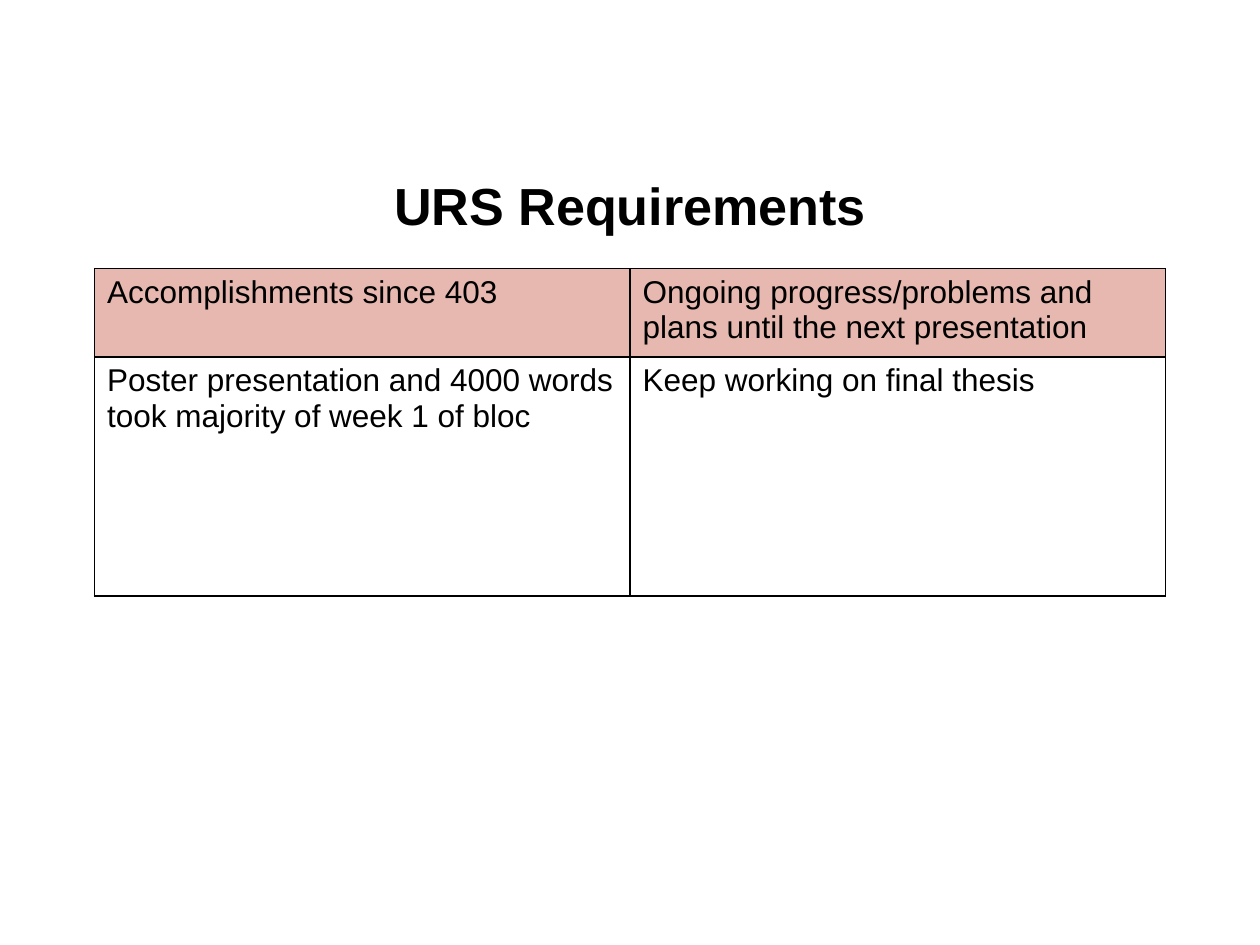
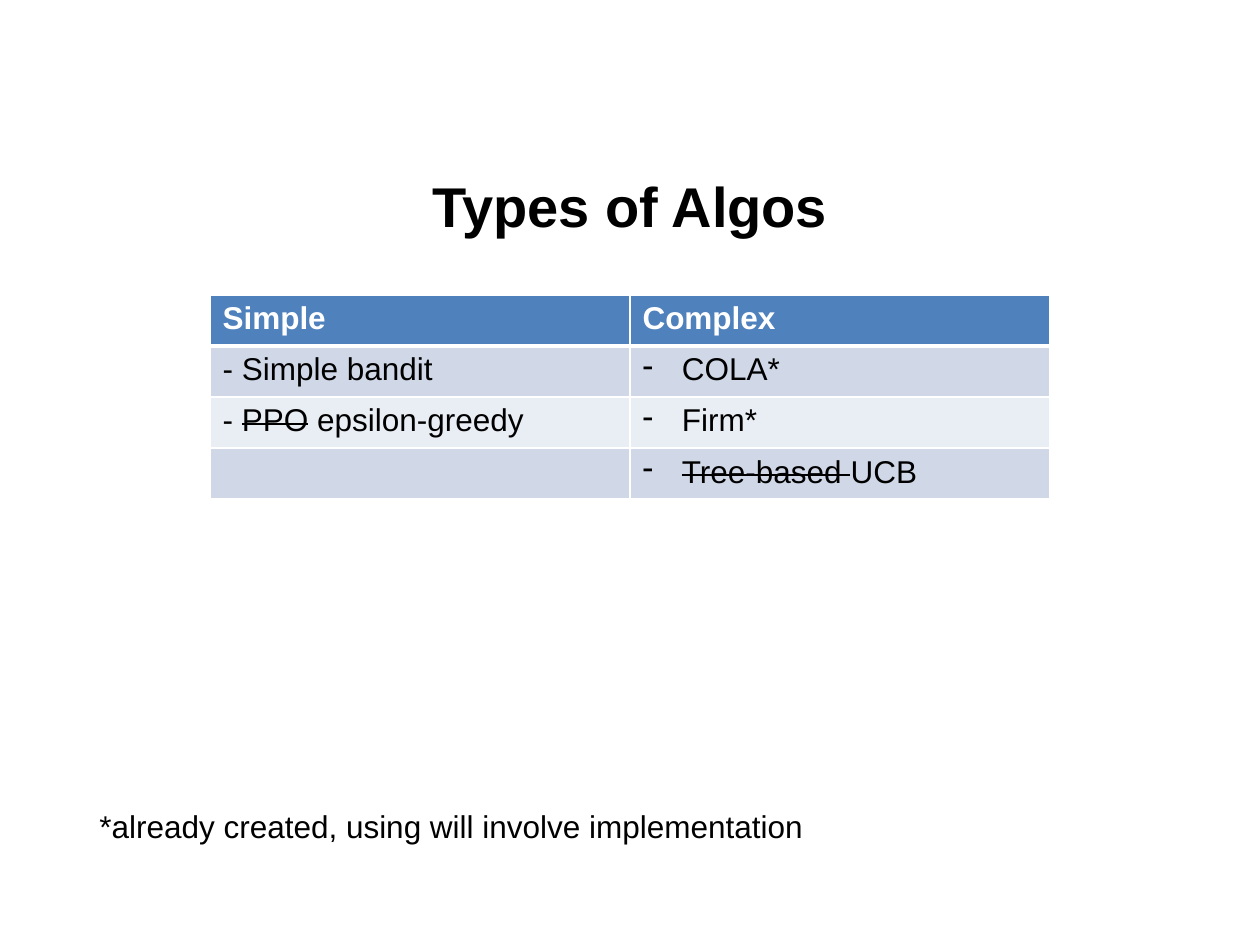
from lxml.etree import SubElement
from pptx import Presentation
from pptx.dml.color import RGBColor
from pptx.enum.text import MSO_ANCHOR as Anchor, PP_ALIGN as Align
from pptx.oxml.ns import qn
from pptx.util import Pt

COLORS = {
    "text": "000000", "white": "FFFFFF", "rose": "E6B8AF",
    "blue": "4F81BD", "band_dark": "D0D8E8", "band_light": "E9EDF4",
}
BODY = {"name": "Arial", "size": Pt(18), "bold": False}
HEADER = {**BODY, "bold": True}
TITLE_BOX = (36, 83, 648, 63)
HANGING = 22.5


def rgb(color):
    return RGBColor.from_string(COLORS[color])


def write(paragraph, content, style, color="text"):
    """Add a string, or a list of (words, struck) pairs, to a paragraph."""
    spans = [(content, False)] if isinstance(content, str) else content
    for words, struck in spans:
        run = paragraph.add_run()
        run.text = words
        for attribute, value in style.items():
            setattr(run.font, attribute, value)
        run.font.color.rgb = rgb(color)
        if struck:
            run.font._element.set("strike", "sngStrike")


def add_text(slide, box, content, style, anchor=Anchor.TOP):
    frame = slide.shapes.add_textbox(*map(Pt, box)).text_frame
    frame.word_wrap = True
    frame.vertical_anchor = anchor
    paragraph = frame.paragraphs[0]
    write(paragraph, content, style)
    return paragraph


def add_title(slide, title, size):
    heading = add_text(slide, TITLE_BOX, title, {**HEADER, "size": Pt(size)}, Anchor.MIDDLE)
    heading.alignment = Align.CENTER
    heading.line_spacing = 1.15


def add_dash(paragraph):
    properties = paragraph._p.get_or_add_pPr()
    properties.set("marL", str(Pt(HANGING)))
    properties.set("indent", str(-Pt(HANGING)))
    SubElement(properties, qn("a:buChar"), char="-")


def set_borders(cell, color, widths):
    properties = cell._tc.get_or_add_tcPr()
    for edge, width in widths.items():
        line = SubElement(properties, qn(f"a:ln{edge}"), w=str(Pt(width)))
        fill = SubElement(line, qn("a:solidFill"))
        SubElement(fill, qn("a:srgbClr"), val=COLORS[color])


def add_grid(slide, box, rows, heights, fills, border, header_style=BODY,
             header_color="text", header_rule=1, dashed_column=None):
    """Equal columns; the first row is the header, a fill of None is clear."""
    columns = len(rows[0])
    table = slide.shapes.add_table(len(rows), columns, *map(Pt, box)).table
    for column in table.columns:
        column.width = Pt(box[2] / columns)
    for r, (contents, height, fill) in enumerate(zip(rows, heights, fills)):
        table.rows[r].height = Pt(height)
        for c, content in enumerate(contents):
            cell = table.cell(r, c)
            # Borders come before the fill in the cell properties
            set_borders(cell, border, {
                "L": 1, "R": 1,
                "T": header_rule if r == 1 else 1,
                "B": header_rule if r == 0 else 1,
            })
            if fill:
                cell.fill.solid()
                cell.fill.fore_color.rgb = rgb(fill)
            else:
                cell.fill.background()
            paragraph = cell.text_frame.paragraphs[0]
            if r and c == dashed_column:
                add_dash(paragraph)
            if content:
                write(paragraph, content, BODY if r else header_style,
                      "text" if r else header_color)


def requirements_slide(slide):
    add_title(slide, "URS Requirements", 29.8)
    # Accomplishments beside plans
    add_grid(slide, (54, 153.5, 612, 187), [
        ["Accomplishments since 403",
         "Ongoing progress/problems and plans until the next presentation"],
        ["Poster presentation and 4000 words took majority of week 1 of bloc",
         "Keep working on final thesis"],
    ], heights=[50.4, 136.6], fills=["rose", None], border="text")


def algorithms_slide(slide):
    add_title(slide, "Types of Algos", 32)
    # Simple and complex algorithms, with replaced ones struck out
    add_grid(slide, (120, 168.5, 480, 116.8), [
        ["Simple", "Complex"],
        ["- Simple bandit", "COLA*"],
        [[("- ", False), ("PPO", True), (" epsilon-greedy", False)], "Firm*"],
        [None, [("Tree-based ", True), ("UCB", False)]],
    ], heights=[29.2] * 4, fills=["blue", "band_dark", "band_light", "band_dark"],
        border="white", header_style=HEADER, header_color="white",
        header_rule=3, dashed_column=1)
    # Footnote for the starred entries
    add_text(slide, (49.7, 457.5, 490, 29),
             "*already created, using will involve implementation", BODY)


def main():
    deck = Presentation()
    deck.slide_width, deck.slide_height = Pt(720), Pt(540)
    for build in (requirements_slide, algorithms_slide):
        build(deck.slides.add_slide(deck.slide_layouts[6]))
    deck.save("out.pptx")


if __name__ == "__main__":
    main()
